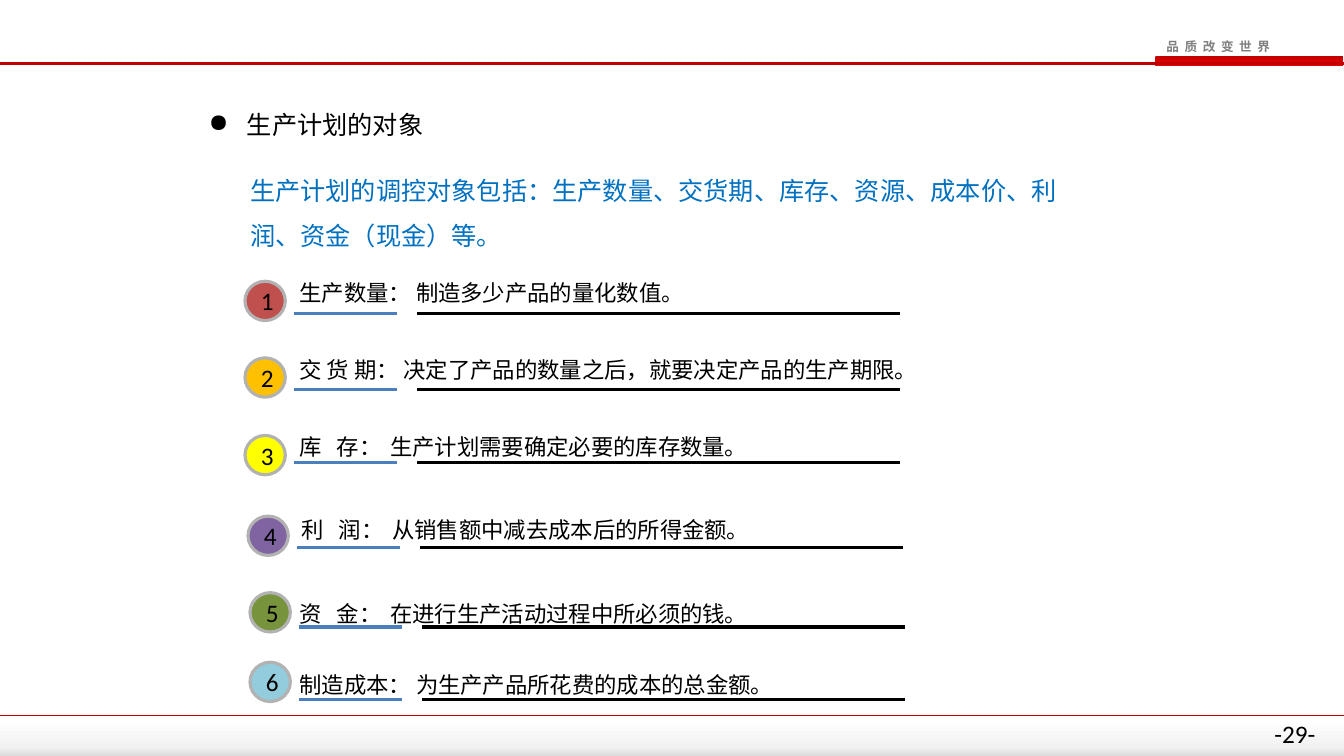
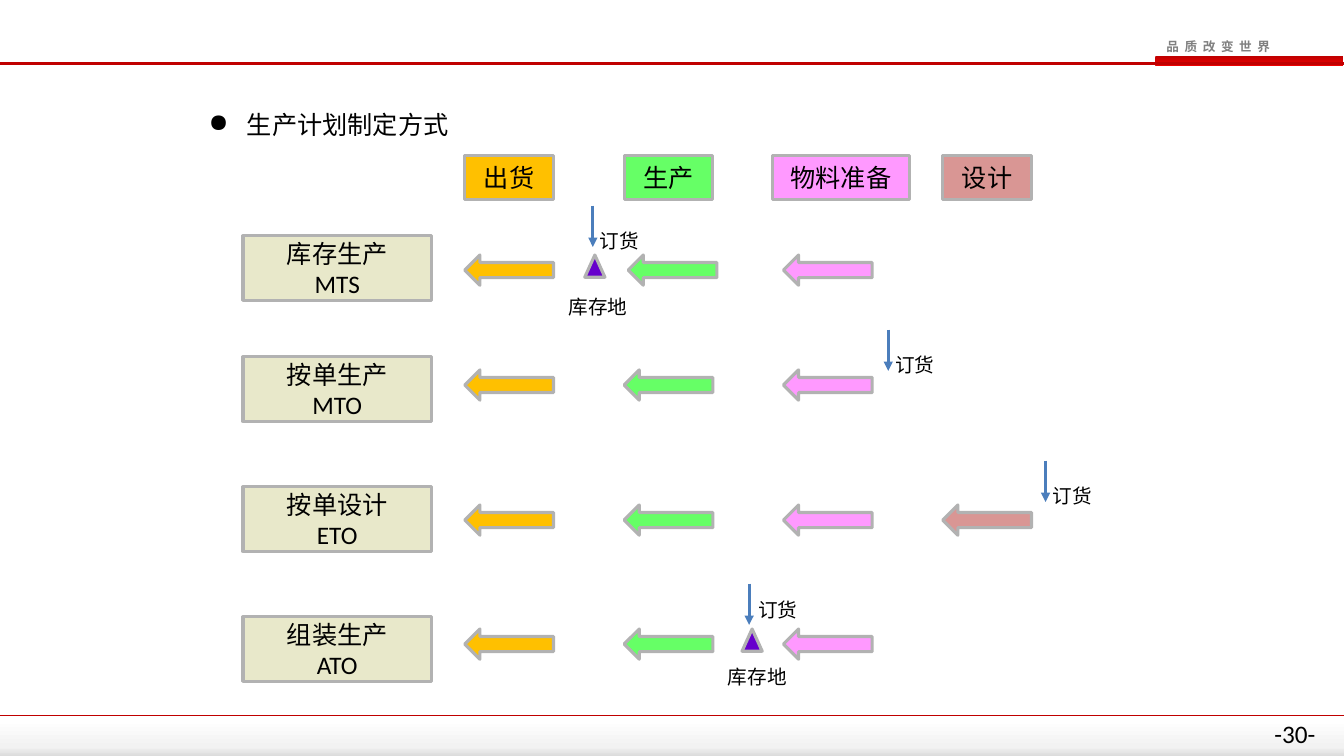
from dataclasses import dataclass

from lxml import etree
from pptx import Presentation
from pptx.dml.color import RGBColor
from pptx.enum.shapes import MSO_CONNECTOR, MSO_SHAPE
from pptx.enum.text import MSO_ANCHOR, PP_ALIGN
from pptx.oxml.ns import qn
from pptx.util import Inches, Pt

RECT, OVAL = MSO_SHAPE.RECTANGLE, MSO_SHAPE.OVAL
ARROW, TRIANGLE = MSO_SHAPE.LEFT_ARROW, MSO_SHAPE.ISOSCELES_TRIANGLE
STRAIGHT = MSO_CONNECTOR.STRAIGHT
LEFT, CENTER = PP_ALIGN.LEFT, PP_ALIGN.CENTER
TOP, MIDDLE = MSO_ANCHOR.TOP, MSO_ANCHOR.MIDDLE

BLACK = RGBColor(0x00, 0x00, 0x00)
WHITE = RGBColor(0xFF, 0xFF, 0xFF)
GREY = RGBColor(0x80, 0x80, 0x80)
EDGE = RGBColor(0xB2, 0xB2, 0xB2)
MIST = RGBColor(0xF2, 0xF2, 0xF2)
SILVER = RGBColor(0xDC, 0xDC, 0xDC)
DARK_RED = RGBColor(0xC0, 0x00, 0x00)
BRIGHT_RED = RGBColor(0xEE, 0x00, 0x00)
BLUE = RGBColor(0x00, 0x70, 0xC0)
STEEL = RGBColor(0x4B, 0x7E, 0xBC)
BRICK = RGBColor(0xC0, 0x50, 0x4D)
AMBER = RGBColor(0xFF, 0xC0, 0x00)
YELLOW = RGBColor(0xFF, 0xFF, 0x00)
PURPLE = RGBColor(0x80, 0x64, 0xA2)
OLIVE = RGBColor(0x77, 0x93, 0x3C)
AQUA = RGBColor(0x93, 0xCD, 0xDD)
CREAM = RGBColor(0xE8, 0xE8, 0xCA)
GREEN = RGBColor(0x66, 0xFF, 0x66)
PINK = RGBColor(0xFF, 0x99, 0xFF)
ROSE = RGBColor(0xD9, 0x96, 0x94)
VIOLET = RGBColor(0x66, 0x00, 0xCC)

LATIN, CJK = "Calibri", "Noto Sans CJK SC"
WIDTH, HEIGHT = 13.33, 7.5
WIDE_INSET, TIGHT_INSET = (0.1, 0.05), (0.06, 0.03)

# Process grid: four stages, one column each
STAGE_LEFT, STAGE_PITCH, STAGE_W = 4.61, 1.58, 0.88
STAGE_COLOURS = (AMBER, GREEN, PINK, ROSE)


@dataclass
class Target:
    text: str
    colour: RGBColor
    text_y: float
    circle_y: float
    rule_y: float
    shift: float = 0
    text_shift: float = 0


@dataclass
class Order:
    x: float
    y: float
    label_dx: float = -0.03
    label_dy: float = 0.18
    fill: RGBColor | None = None


@dataclass
class Stock:
    x: float
    y: float
    label_dx: float
    label_dy: float


@dataclass
class Mode:
    name: str
    code: str
    box_y: float
    arrow_y: float
    stages: int
    order: Order
    stock: Stock | None = None
    production_shift: float = 0


TARGETS = (
    Target("生产数量： 制造多少产品的量化数值。", BRICK, 2.66, 2.79, 3.11),
    Target("交 货 期： 决定了产品的数量之后，就要决定产品的生产期限。",
           AMBER, 3.42, 3.55, 3.86),
    Target("库\t存：\t生产计划需要确定必要的库存数量。", YELLOW, 4.19, 4.32, 4.59),
    Target("利\t润：\t从销售额中减去成本后的所得金额。",
           PURPLE, 5.01, 5.12, 5.43, 0.03, 0.02),
    Target("资\t金：\t在进行生产活动过程中所必须的钱。",
           OLIVE, 5.84, 5.88, 6.22, 0.05),
    Target("制造成本： 为生产产品所花费的成本的总金额。",
           AQUA, 6.55, 6.57, 6.94, 0.05),
)

MODES = (
    Mode("库存生产", "MTS", 2.34, 2.53, 3, Order(5.88, 2.04),
         Stock(5.8, 2.53, -0.26, 0.35), production_shift=0.04),
    Mode("按单生产", "MTO", 3.54, 3.67, 3, Order(8.81, 3.27)),
    Mode("按单设计", "ETO", 4.83, 5.01, 4, Order(10.37, 4.57)),
    Mode("组装生产", "ATO", 6.12, 6.24, 3, Order(7.43, 5.79, -0.01, 0.09, WHITE),
         Stock(7.36, 6.24, -0.24, 0.31)),
)


def put_text(sp, text: str, *, size=18, colour=BLACK, font=LATIN, bold=False,
             align=LEFT, anchor=TOP, inset=WIDE_INSET, spacing=None, wrap=True,
             bullet=None, tabs=(), tracking=0):
    """Fill a shape with text; each line becomes a paragraph."""
    tf = sp.text_frame
    tf.word_wrap = wrap
    tf.vertical_anchor = anchor
    tf.margin_left = tf.margin_right = Inches(inset[0])
    tf.margin_top = tf.margin_bottom = Inches(inset[1])
    for i, line in enumerate(text.split("\n")):
        p = tf.add_paragraph() if i else tf.paragraphs[0]
        p.alignment = align
        if spacing:
            p.line_spacing = spacing
        pPr = p._p.get_or_add_pPr()
        if bullet:
            indent = Inches(0.38)
            pPr.set("marL", str(indent))
            pPr.set("indent", str(-indent))
            etree.SubElement(pPr, qn("a:buChar"), char=bullet)
        if tabs:
            tab_list = etree.SubElement(pPr, qn("a:tabLst"))
            for pos in tabs:
                etree.SubElement(tab_list, qn("a:tab"), pos=str(Inches(pos)), algn="l")
        r = p.add_run()
        r.text = line
        r.font.size, r.font.bold = Pt(size), bold
        r.font.color.rgb = colour
        r.font.name = font
        rPr = r._r.get_or_add_rPr()
        etree.SubElement(rPr, qn("a:ea"), typeface=CJK)
        if tracking:
            rPr.set("spc", str(tracking * 100))


def add_text(s, x: float, y: float, w: float, h: float, text: str, **fmt):
    sp = s.shapes.add_textbox(Inches(x), Inches(y), Inches(w), Inches(h))
    put_text(sp, text, **fmt)
    return sp


def add_box(s, kind, x: float, y: float, w: float, h: float, fill=None,
            edge=EDGE, text="", **fmt):
    sp = s.shapes.add_shape(kind, Inches(x), Inches(y), Inches(w), Inches(h))
    sp.shadow.inherit = False
    if fill is not None:
        sp.fill.solid()
        sp.fill.fore_color.rgb = fill
    if edge is None:
        sp.line.fill.background()
    else:
        sp.line.color.rgb = edge
        sp.line.width = Pt(2.25)
    if text:
        put_text(sp, text, align=CENTER, anchor=MIDDLE, **fmt)
    return sp


def add_band(s, x: float, y: float, w: float, h: float, stops):
    """Draw a borderless bar with a top-to-bottom gradient."""
    sp = add_box(s, RECT, x, y, w, h, edge=None)
    sp.fill.gradient()
    sp.fill.gradient_angle = 270
    stop_list = sp._element.spPr.find(qn("a:gradFill")).find(qn("a:gsLst"))
    for old in list(stop_list):
        stop_list.remove(old)
    for percent, colour in stops:
        gs = etree.SubElement(stop_list, qn("a:gs"), pos=str(percent * 1000))
        etree.SubElement(gs, qn("a:srgbClr"), val=str(colour))


def add_line(s, x1: float, y1: float, x2: float, y2: float, colour,
             width=2.25, arrow=False):
    c = s.shapes.add_connector(STRAIGHT, Inches(x1), Inches(y1), Inches(x2), Inches(y2))
    c.line.color.rgb = colour
    c.line.width = Pt(width)
    if arrow:
        etree.SubElement(c.line._get_or_add_ln(), qn("a:tailEnd"), type="triangle")
    etree.SubElement(c._element.spPr, qn("a:effectLst"))


def add_page(prs, number: int, title: str):
    """Add a slide with the shared header, footer and title."""
    s = prs.slides.add_slide(prs.slide_layouts[6])
    add_band(s, 11.46, 0.56, 1.86, 0.09, ((0, DARK_RED), (100, BRIGHT_RED)))
    add_text(s, 11.47, 0.34, 1.36, 0.25, "品质改变世界", size=9, colour=GREY,
             font=CJK, bold=True, wrap=False, tracking=4)
    add_line(s, 0, 0.63, WIDTH, 0.63, DARK_RED, 1.5)
    add_band(s, 0, 7.14, WIDTH, HEIGHT - 7.14, ((0, WHITE), (75, MIST), (100, SILVER)))
    add_line(s, 0, 7.1, WIDTH, 7.1, DARK_RED, 1)
    add_text(s, 12.54, 7.08, 0.79, 0.4, f"-{number}-")
    add_text(s, 1.97, 1.04, 9.07, 0.44, title, bullet="●")
    return s


def add_target(s, number: int, t: Target):
    add_text(s, 2.91 + t.text_shift, t.text_y, 8.25, 0.41, t.text, size=16,
             inset=TIGHT_INSET, spacing=1.3, tabs=(0.37, 0.9) if "\t" in t.text else ())
    add_box(s, OVAL, 2.43 + t.shift, t.circle_y, 0.4, 0.39, t.colour, text=str(number))
    for x, length, colour in ((2.92, 1.02, STEEL), (4.14, 4.79, BLACK)):
        add_line(s, x + t.shift, t.rule_y, x + t.shift + length, t.rule_y, colour)


def stage_x(col: int) -> float:
    return STAGE_LEFT + col * STAGE_PITCH


def add_mode(s, m: Mode):
    add_box(s, RECT, 2.41, m.box_y, 1.87, 0.64, CREAM, text=f"{m.name}\n{m.code}")
    for col in range(m.stages):
        x = stage_x(col) + (m.production_shift if col == 1 else 0)
        add_box(s, ARROW, x, m.arrow_y, STAGE_W, 0.3, STAGE_COLOURS[col])
    o = m.order
    label = add_text(s, o.x + o.label_dx, o.y + o.label_dy, 0.7, 0.34, "订货", size=14)
    if o.fill is not None:
        label.fill.solid()
        label.fill.fore_color.rgb = o.fill
    add_line(s, o.x, o.y, o.x, o.y + 0.41, STEEL, arrow=True)
    if m.stock:
        k = m.stock
        add_box(s, TRIANGLE, k.x, k.y, 0.2, 0.22, VIOLET)
        add_text(s, k.x + k.label_dx, k.y + k.label_dy, 1.09, 0.34, "库存地", size=14)


def build_targets(prs):
    s = add_page(prs, 29, "生产计划的对象")
    add_text(s, 2.42, 1.56, 8.21, 1.07,
             "生产计划的调控对象包括：生产数量、交货期、库存、资源、成本价、利润、资金（现金）等。",
             colour=BLUE, font="Arial", inset=TIGHT_INSET, spacing=1.5)
    for number, target in enumerate(TARGETS, 1):
        add_target(s, number, target)


def build_modes(prs):
    s = add_page(prs, 30, "生产计划制定方式")
    for col, name in enumerate(("出货", "生产", "物料准备", "设计")):
        wide = len(name) > 2
        add_box(s, RECT, stage_x(col) - (0.11 if wide else 0), 1.54,
                1.36 if wide else STAGE_W, 0.44, STAGE_COLOURS[col], text=name)
    for mode in MODES:
        add_mode(s, mode)


def main():
    prs = Presentation()
    prs.slide_width, prs.slide_height = Inches(WIDTH), Inches(HEIGHT)
    build_targets(prs)
    build_modes(prs)
    prs.save("out.pptx")


if __name__ == "__main__":
    main()
